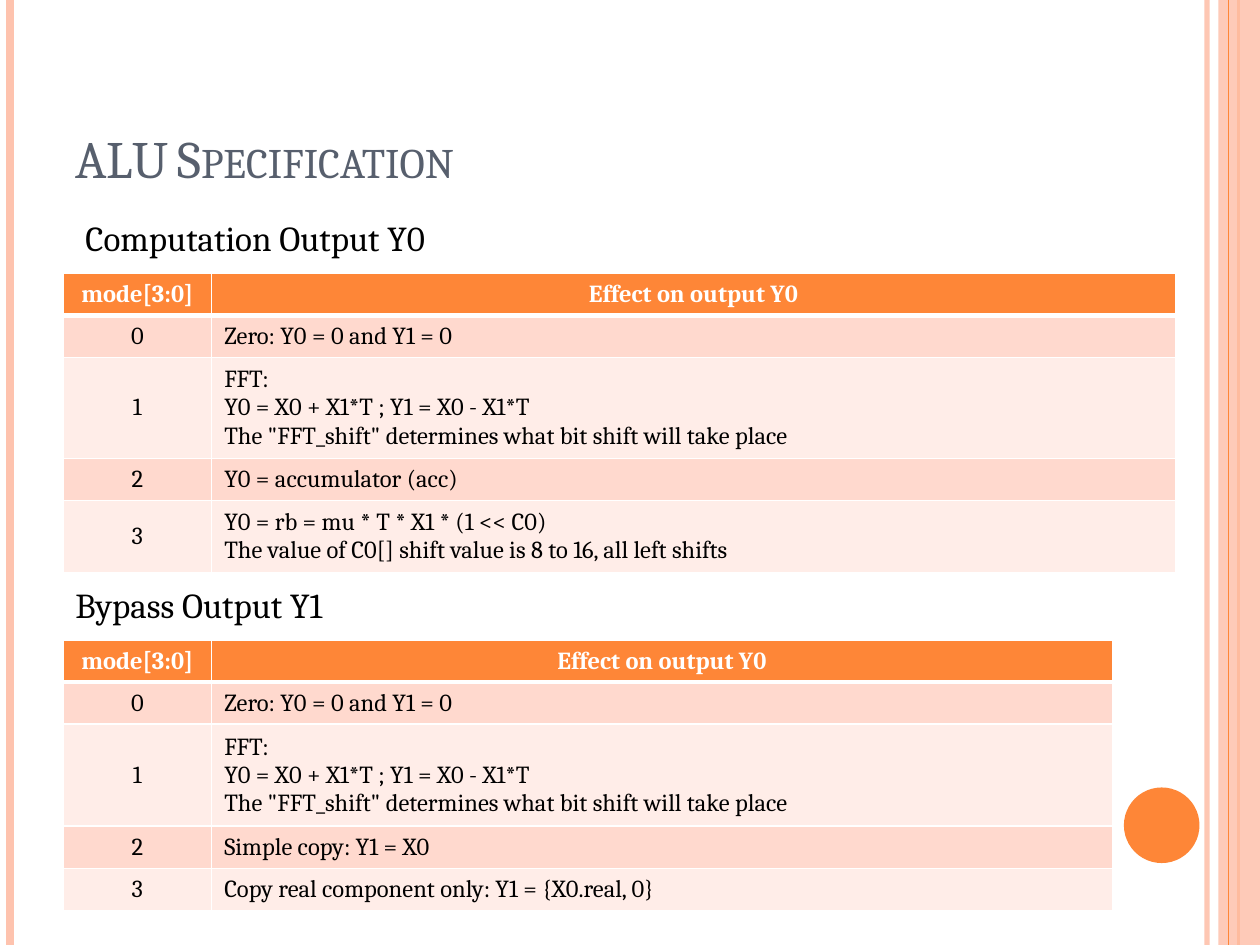
from lxml.etree import SubElement
from pptx import Presentation
from pptx.dml.color import RGBColor
from pptx.enum.shapes import MSO_CONNECTOR, MSO_SHAPE
from pptx.enum.text import MSO_ANCHOR, PP_ALIGN
from pptx.oxml.ns import qn
from pptx.util import Inches, Pt

ORANGE = RGBColor(0xFE, 0x86, 0x37)
PEACH = RGBColor(0xFE, 0xC3, 0xAE)
BAND_DARK = RGBColor(0xFF, 0xD9, 0xCE)
BAND_LIGHT = RGBColor(0xFF, 0xED, 0xE8)
SLATE = RGBColor(0x57, 0x5F, 0x6D)
BLACK = RGBColor(0, 0, 0)
WHITE = RGBColor(255, 255, 255)


def write(frame, text, size=14, color=BLACK, bold=False, align=PP_ALIGN.LEFT, small_caps=False):
    """Fill a text frame with one paragraph, breaking lines at newlines."""
    para = frame.paragraphs[0]
    para.alignment = align
    for number, line in enumerate(text.split("\n")):
        if number:
            para.add_line_break()
        span = para.add_run()
        span.text = line
        span.font.name = "Cambria"
        span.font.size = Pt(size)
        span.font.bold = bold
        span.font.color.rgb = color
        if small_caps:
            span.font._element.set("cap", "small")


def set_alpha(holder, percent):
    """Make the solid colour inside an element partly transparent."""
    color = holder.find(".//" + qn("a:srgbClr"))
    SubElement(color, qn("a:alpha"), val=str(percent * 1000))


deck = Presentation()
deck.slide_width, deck.slide_height = Inches(10), Inches(7.5)
page = deck.slides.add_slide(deck.slide_layouts[6])

# Side decoration: vertical rules with a band among them, then the disc
for x, color, width, alpha in [
    (9.58, PEACH, 3, 93),
    (0.08, PEACH, 4.5, 100),
    (9.83, ORANGE, 1.5, 100),
    (9.67, PEACH, None, 87),
    (9.75, ORANGE, 0.75, 100),
]:
    if width is None:
        band = page.shapes.add_shape(
            MSO_SHAPE.RECTANGLE, Inches(x), 0, Inches(0.33), Inches(7.5))
        band.shadow.inherit = False
        band.fill.solid()
        band.fill.fore_color.rgb = color
        band.line.fill.background()
        set_alpha(band._element.spPr, alpha)
        continue
    rule = page.shapes.add_connector(
        MSO_CONNECTOR.STRAIGHT, Inches(x), 0, Inches(x), Inches(7.5))
    rule.line.color.rgb = color
    rule.line.width = Pt(width)
    if alpha < 100:
        set_alpha(rule._element.spPr, alpha)
    SubElement(rule._element.spPr, qn("a:effectLst"))

disc = page.shapes.add_shape(
    MSO_SHAPE.OVAL, Inches(8.92), Inches(6.25), Inches(0.6), Inches(0.6))
disc.shadow.inherit = False
disc.fill.solid()
disc.fill.fore_color.rgb = ORANGE
disc.line.fill.background()

# Title and table captions
for text, left, top, width, height, anchor, style in [
    ("ALU Specification", 0.5, 0.3, 8.17, 1.25, MSO_ANCHOR.BOTTOM,
     {"size": 30, "color": SLATE, "small_caps": True}),
    ("Computation Output Y0", 0.58, 1.67, 5.5, 0.44, MSO_ANCHOR.TOP, {"size": 20}),
    ("Bypass Output Y1", 0.5, 4.58, 5.5, 0.44, MSO_ANCHOR.TOP, {"size": 20}),
]:
    box = page.shapes.add_textbox(Inches(left), Inches(top), Inches(width), Inches(height))
    box.text_frame.word_wrap = True
    box.text_frame.vertical_anchor = anchor
    write(box.text_frame, text, **style)

# Mode tables: a header, then modes 0 to 3
HEADER = "Effect on output Y0"
ZERO = "Zero: Y0 = 0 and Y1 = 0"
FFT = ('FFT:\nY0 = X0 + X1*T ; Y1 = X0 - X1*T\n'
       'The "FFT_shift" determines what bit shift will take place')
MODE_COLUMN = 1.18

for top, width, heights, effects in [
    (2.17, 8.83, [0.31, 0.32, 0.78, 0.32, 0.57],
     [HEADER, ZERO, FFT, "Y0 = accumulator (acc)",
      "Y0 = rb = mu * T * X1 * (1 << C0)\n"
      "The value of C0[] shift value is 8 to 16, all left shifts"]),
    (5.08, 8.33, [0.33, 0.33, 0.81, 0.33, 0.33],
     [HEADER, ZERO, FFT, "Simple copy: Y1 = X0",
      "Copy real component only: Y1 = {X0.real, 0}"]),
]:
    table = page.shapes.add_table(
        len(effects), 2, Inches(0.5), Inches(top), Inches(width), Inches(sum(heights))).table
    table.columns[0].width = Inches(MODE_COLUMN)
    table.columns[1].width = Inches(width - MODE_COLUMN)

    for row, (height, effect) in enumerate(zip(heights, effects)):
        table.rows[row].height = Inches(height)
        is_header = row == 0
        mode = "mode[3:0]" if is_header else str(row - 1)
        fill = ORANGE if is_header else (BAND_DARK if row % 2 else BAND_LIGHT)
        for column, text in enumerate([mode, effect]):
            cell = table.cell(row, column)
            cell.vertical_anchor = MSO_ANCHOR.MIDDLE
            centred = is_header or column == 0
            write(cell.text_frame, text, bold=is_header,
                  color=WHITE if is_header else BLACK,
                  align=PP_ALIGN.CENTER if centred else PP_ALIGN.LEFT)

            # White borders, thick between header and body
            for side in ("L", "R", "T", "B"):
                thick = (row, side) in [(0, "B"), (1, "T")]
                border = SubElement(cell._tc.get_or_add_tcPr(), qn("a:ln" + side),
                                    w=str(Pt(3 if thick else 1)))
                SubElement(SubElement(border, qn("a:solidFill")),
                           qn("a:srgbClr"), val=str(WHITE))
            cell.fill.solid()
            cell.fill.fore_color.rgb = fill

deck.save("out.pptx")
